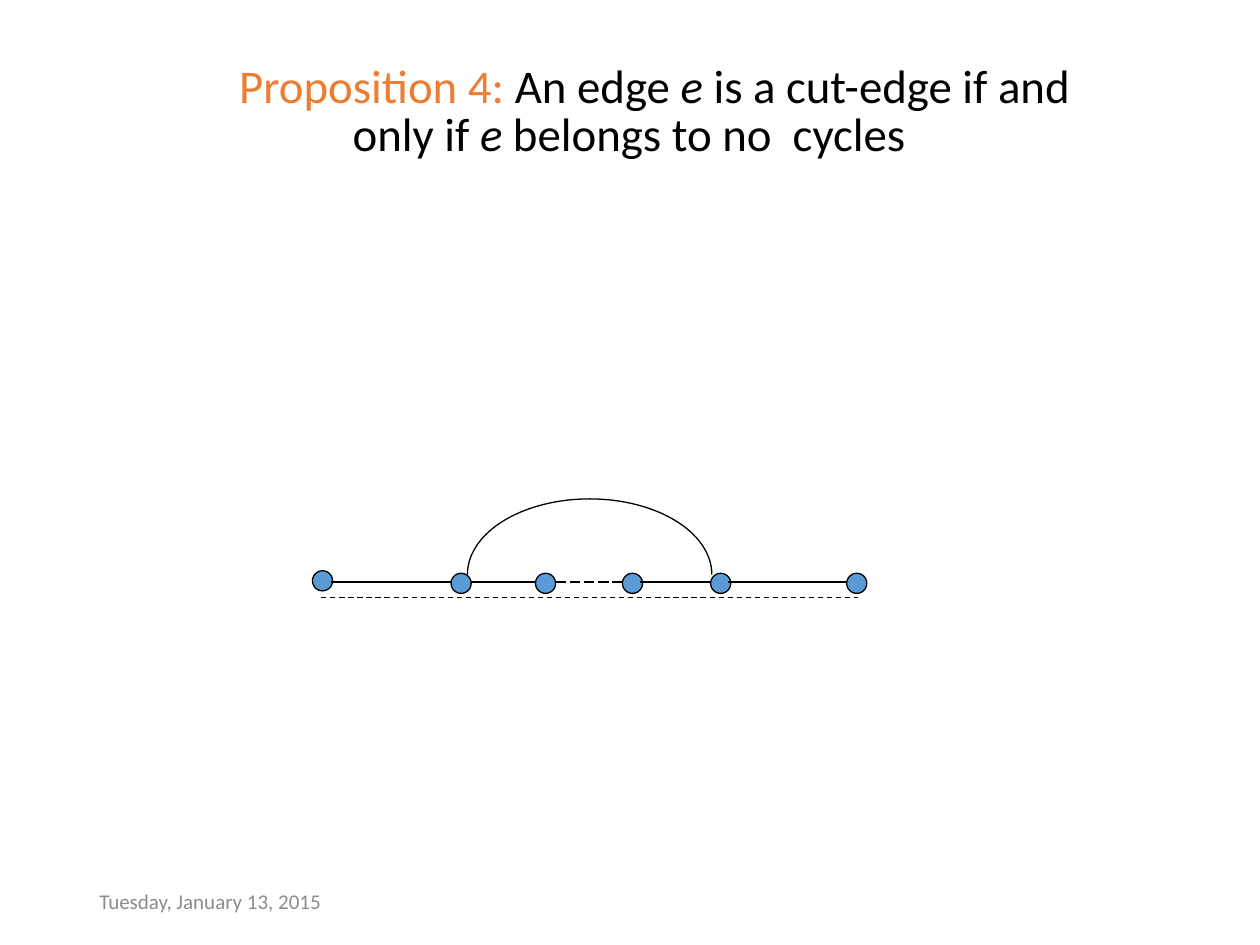
from pptx import Presentation
from pptx.dml.color import RGBColor
from pptx.enum.dml import MSO_LINE
from pptx.enum.shapes import MSO_CONNECTOR, MSO_SHAPE
from pptx.enum.text import MSO_ANCHOR, PP_ALIGN
from pptx.oxml.ns import qn
from pptx.util import Inches, Pt
from lxml import etree

STRAIGHT = MSO_CONNECTOR.STRAIGHT
OVAL, ARC = MSO_SHAPE.OVAL, MSO_SHAPE.ARC
DASH, LONG_DASH = MSO_LINE.DASH, MSO_LINE.LONG_DASH
MIDDLE, LEFT = MSO_ANCHOR.MIDDLE, PP_ALIGN.LEFT
ANGLE_UNITS_PER_DEGREE = 60000
ADJUSTMENT_SCALE = 100000


def color(value):
    return RGBColor.from_string(value)


class GraphSlide:
    font = "Calibri"
    ink = "000000"
    accent = "ED7D31"
    muted = "8C8C8C"
    node_fill = "5B9BD5"
    line_width = 0.75
    node_size = 0.16

    def __init__(self, deck):
        self.page = deck.slides.add_slide(deck.slide_layouts[6])

    def outline(self, line, dash=None):
        line.color.rgb = color(self.ink)
        line.width = Pt(self.line_width)
        if dash:
            line.dash_style = dash

    def text(self, left, top, width, height, spans, size):
        box = self.page.shapes.add_textbox(
            Inches(left), Inches(top), Inches(width), Inches(height))
        frame = box.text_frame
        frame.word_wrap = True
        frame.vertical_anchor = MIDDLE
        para = frame.paragraphs[0]
        para.alignment = LEFT
        for words, ink, italic in spans:
            span = para.add_run()
            span.text = words
            span.font.name = self.font
            span.font.size = Pt(size)
            span.font.italic = italic
            span.font.color.rgb = color(ink)
        return para

    def hanging_indent(self, para, indent):
        properties = para._p.get_or_add_pPr()
        properties.set("marL", str(Inches(indent)))
        properties.set("indent", str(-Inches(indent)))

    def node(self, left, top):
        size = Inches(self.node_size)
        node = self.page.shapes.add_shape(
            OVAL, Inches(left), Inches(top), size, size)
        node.shadow.inherit = False
        node.fill.solid()
        node.fill.fore_color.rgb = color(self.node_fill)
        self.outline(node.line)

    def edge(self, start, end, height, dash=None):
        edge = self.page.shapes.add_connector(
            STRAIGHT, Inches(start), Inches(height), Inches(end), Inches(height))
        self.outline(edge.line, dash)
        etree.SubElement(edge._element.spPr, qn("a:effectLst"))

    def arch(self, left, right, top, base):
        arch = self.page.shapes.add_shape(
            ARC, Inches(left), Inches(top),
            Inches(right - left), Inches(2 * (base - top)))
        arch.adjustments[0] = 180 * ANGLE_UNITS_PER_DEGREE / ADJUSTMENT_SCALE
        arch.adjustments[1] = 0
        arch.shadow.inherit = False
        arch.fill.background()
        self.outline(arch.line)


def main():
    deck = Presentation()
    deck.slide_width, deck.slide_height = Inches(10), Inches(7.5)
    slide = GraphSlide(deck)

    title = slide.text(1.8, 0.36, 7.11, 1.08, [
        ("Proposition 4: ", slide.accent, False),
        ("An edge", slide.ink, False),
        (" e ", slide.ink, True),
        ("is a cut-edge if and only if ", slide.ink, False),
        ("e ", slide.ink, True),
        ("belongs to no  cycles", slide.ink, False),
    ], 26.8)
    title.line_spacing = 0.85
    slide.hanging_indent(title, 0.9)

    slide.node(2.48, 4.53)
    for left in (3.58, 4.25, 4.94, 5.64, 6.72):
        slide.node(left, 4.55)

    for start, end, dash in (
        (2.63, 3.59, None),
        (3.74, 4.25, None),
        (4.41, 4.95, LONG_DASH),
        (5.08, 5.64, None),
        (5.78, 6.72, None),
    ):
        slide.edge(start, end, 4.62, dash)
    slide.edge(2.55, 6.81, 4.74, DASH)
    slide.arch(3.71, 5.65, 3.96, 4.56)

    slide.text(0.69, 6.95, 2.25, 0.4,
               [("Tuesday, January 13, 2015", slide.muted, False)], 12)
    deck.save("out.pptx")


if __name__ == "__main__":
    main()
